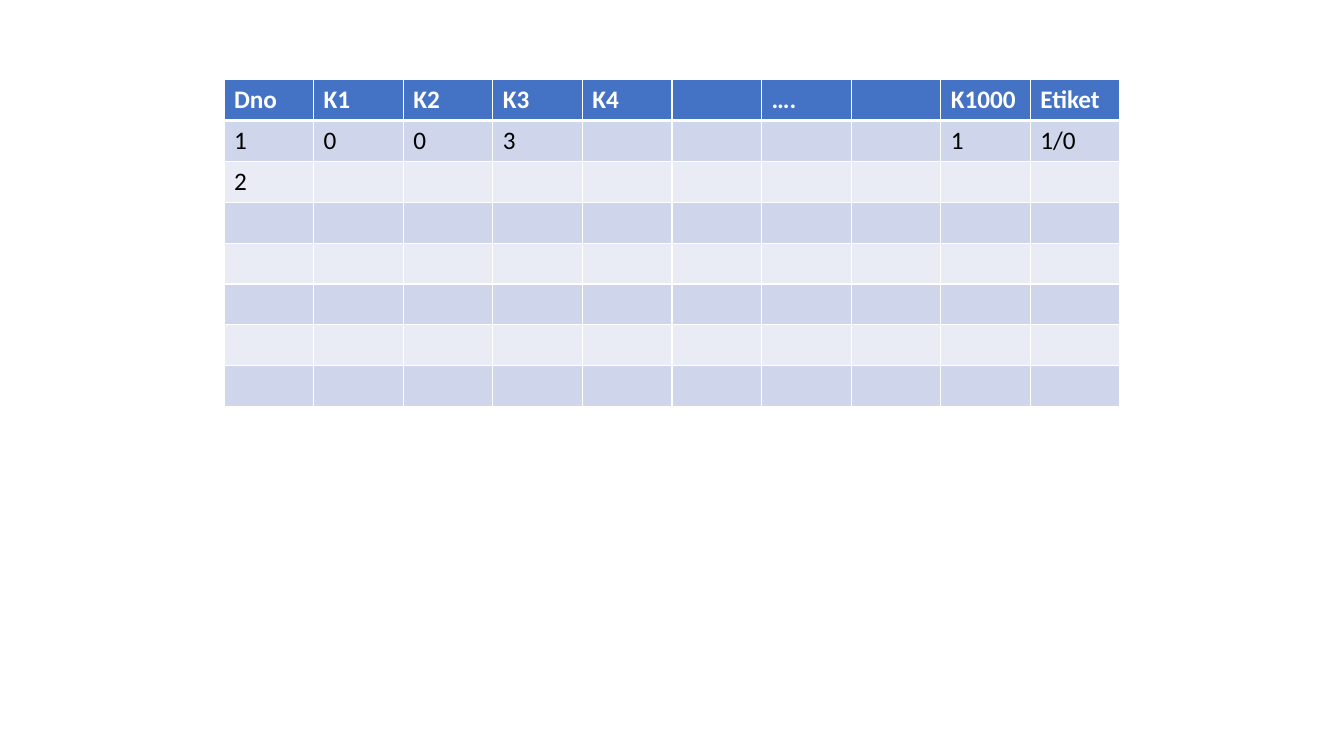
import pptx
import pptx.dml.color
import pptx.oxml
import pptx.oxml.ns
import pptx.util

WHITE = pptx.dml.color.RGBColor(0xFF, 0xFF, 0xFF)
BLACK = pptx.dml.color.RGBColor(0x00, 0x00, 0x00)
HEADER_BLUE = pptx.dml.color.RGBColor(0x44, 0x72, 0xC4)
BAND_DARK = pptx.dml.color.RGBColor(0xCF, 0xD5, 0xEA)
BAND_LIGHT = pptx.dml.color.RGBColor(0xE9, 0xEB, 0xF5)

BLANK_LAYOUT = 6
TABLE_ROWS = 8
HEADINGS = ["Dno", "K1", "K2", "K3", "K4", "", "….", "", "K1000", "Etiket"]
DOCUMENTS = [
    ["1", "0", "0", "3", "", "", "", "", "1", "1/0"],
    ["2"],
]


class SlideBuilder:
    """Holds the text style and the current slide; lengths are shares of the slide."""

    font_format = {"name": "Calibri", "size": pptx.util.Pt(18)}

    def __init__(self, presentation):
        self.width = presentation.slide_width
        self.height = presentation.slide_height
        self.slide = presentation.slides.add_slide(presentation.slide_layouts[BLANK_LAYOUT])

    def add_term_table(self, left, top, width, row_height, headings, records, row_count):
        """Draw a header row and banded rows; rows beyond the records stay empty."""
        row_length = round(self.height * row_height)
        table = self.slide.shapes.add_table(
            row_count, len(headings),
            round(self.width * left), round(self.height * top),
            round(self.width * width), row_length * row_count,
        ).table
        for row in table.rows:
            row.height = row_length
        texts = {
            (row, column): text
            for row, values in enumerate([headings, *records])
            for column, text in enumerate(values)
        }
        for row in range(row_count):
            is_header = row == 0
            fill = HEADER_BLUE if is_header else (BAND_LIGHT, BAND_DARK)[row % 2]
            font = {"bold": is_header}
            color = WHITE if is_header else BLACK
            borders = {"L": 1, "R": 1, "T": 3 if row == 1 else 1, "B": 3 if is_header else 1}
            for column in range(len(headings)):
                cell = table.cell(row, column)
                self.set_borders(cell, borders)
                cell.fill.solid()
                cell.fill.fore_color.rgb = fill
                text = texts.get((row, column))
                if text:
                    self.add_cell_text(cell, text, font, color)

    def add_cell_text(self, cell, text, font, color):
        run = cell.text_frame.paragraphs[0].add_run()
        run.text = text
        for attribute, value in {**self.font_format, **font}.items():
            setattr(run.font, attribute, value)
        run.font.color.rgb = color

    def set_borders(self, cell, borders):
        """Add white lines, given as points by side; call before filling the cell."""
        properties = cell._tc.get_or_add_tcPr()
        for side, points in borders.items():
            properties.append(pptx.oxml.parse_xml(
                f'<a:ln{side} {pptx.oxml.ns.nsdecls("a")} w="{pptx.util.Pt(points)}">'
                f'<a:solidFill><a:srgbClr val="{WHITE}"/></a:solidFill></a:ln{side}>'
            ))


def main():
    presentation = pptx.Presentation()
    presentation.slide_width = pptx.util.Inches(13.33)
    presentation.slide_height = pptx.util.Inches(7.5)
    builder = SlideBuilder(presentation)
    builder.add_term_table(
        left=1 / 6, top=0.79 / 7.5, width=2 / 3, row_height=0.405 / 7.5,
        headings=HEADINGS, records=DOCUMENTS, row_count=TABLE_ROWS,
    )
    presentation.save("out.pptx")


if __name__ == "__main__":
    main()
